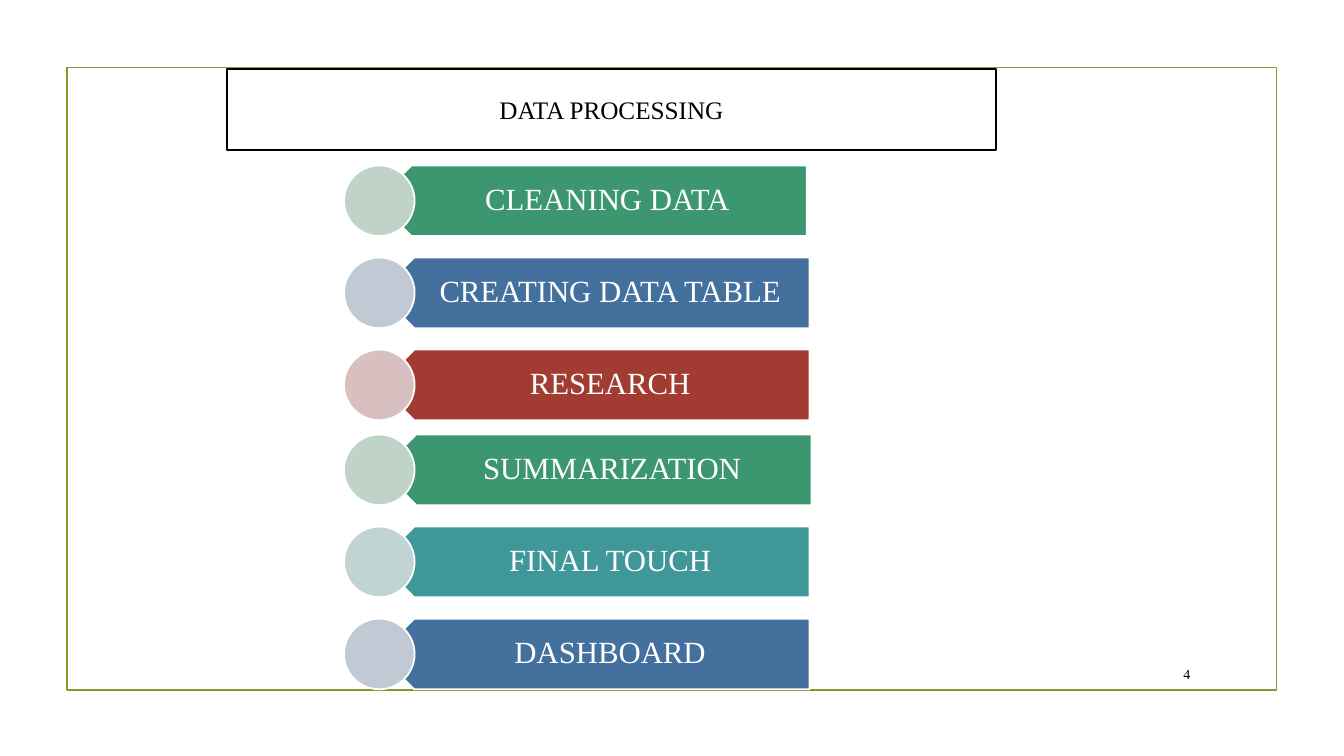
"""Build the data processing slide: a framed title above six labelled steps."""
import dataclasses

import lxml.etree
import pptx
import pptx.dml.color
import pptx.enum.shapes
import pptx.enum.text
import pptx.oxml.ns
import pptx.util

Cm = pptx.util.Cm
Pt = pptx.util.Pt
Shape = pptx.enum.shapes.MSO_SHAPE
Align = pptx.enum.text.PP_ALIGN


@dataclasses.dataclass(frozen=True)
class Theme:
    font: str = "Times New Roman"
    title_size: int = 18
    step_size: int = 22
    number_size: int = 10
    line_width: float = 1.25
    black: str = "000000"
    white: str = "FFFFFF"
    frame: str = "83992A"
    green: tuple = ("3C9770", "C0D3C9")
    blue: tuple = ("44709D", "C1C9D5")
    red: tuple = ("A23C33", "D7C0BF")
    teal: tuple = ("40979A", "C0D4D4")


theme = Theme()


def paint(shape, fill, line):
    if fill:
        shape.fill.solid()
        shape.fill.fore_color.rgb = pptx.dml.color.RGBColor.from_string(fill)
    else:
        shape.fill.background()
    shape.line.color.rgb = pptx.dml.color.RGBColor.from_string(line)
    shape.line.width = Pt(theme.line_width)
    shape.shadow.inherit = False


def write(shape, text, size, color, alignment):
    frame = shape.text_frame
    frame.word_wrap = True
    frame.auto_size = pptx.enum.text.MSO_AUTO_SIZE.NONE
    frame.vertical_anchor = pptx.enum.text.MSO_ANCHOR.MIDDLE
    paragraph = frame.paragraphs[0]
    paragraph.alignment = alignment
    run = paragraph.add_run()
    run.text = text
    run.font.name = theme.font
    run.font.size = Pt(size)
    run.font.color.rgb = pptx.dml.color.RGBColor.from_string(color)
    return paragraph


presentation = pptx.Presentation()
presentation.slide_width = Cm(33.87)
presentation.slide_height = Cm(19.05)
slide = presentation.slides.add_slide(presentation.slide_layouts[5])
shapes = slide.shapes

border = shapes.add_shape(Shape.RECTANGLE, Cm(1.69), Cm(1.7), Cm(30.48), Cm(15.68))
paint(border, None, theme.frame)

number = shapes.add_textbox(Cm(28.75), Cm(16.59), Cm(1.5), Cm(0.79))
write(number, "4", theme.number_size, theme.black, Align.RIGHT)

step_groups = [
    (4.17, [
        ("CLEANING DATA", theme.green, 9.48),
        ("CREATING DATA TABLE", theme.blue, 9.55),
        ("RESEARCH", theme.red, 9.55),
    ]),
    (10.95, [
        ("SUMMARIZATION", theme.green, 9.6),
        ("FINAL TOUCH", theme.teal, 9.55),
        ("DASHBOARD", theme.blue, 9.55),
    ]),
]
step_height = 1.78
step_pitch = 2.32

for group_top, steps in step_groups:
    for index, (label, (bar_color, disc_color), bar_left) in enumerate(steps):
        top = Cm(group_top + index * step_pitch)
        bar = shapes.add_shape(Shape.PENTAGON, Cm(bar_left), top, Cm(10.85), Cm(step_height))
        bar.element.spPr.xfrm.set("flipH", "1")
        paint(bar, bar_color, theme.white)
        bar.text_frame.margin_left = Cm(0.79)
        bar.text_frame.margin_right = Cm(0.43)
        paragraph = write(bar, label, theme.step_size, theme.white, Align.CENTER)
        paragraph.line_spacing = 0.9
        disc = shapes.add_shape(Shape.OVAL, Cm(8.67), top, Cm(step_height), Cm(step_height))
        paint(disc, disc_color, theme.white)

title = shapes.title
title.left, title.top, title.width, title.height = Cm(5.72), Cm(1.73), Cm(19.38), Cm(2.06)
geometry = lxml.etree.Element(pptx.oxml.ns.qn("a:prstGeom"), prst="roundRect")
lxml.etree.SubElement(geometry, pptx.oxml.ns.qn("a:avLst"))
title.element.spPr.xfrm.addnext(geometry)
paint(title, theme.white, theme.black)
write(title, "DATA PROCESSING", theme.title_size, theme.black, Align.CENTER)
shapes.element.append(title.element)

presentation.save("out.pptx")
